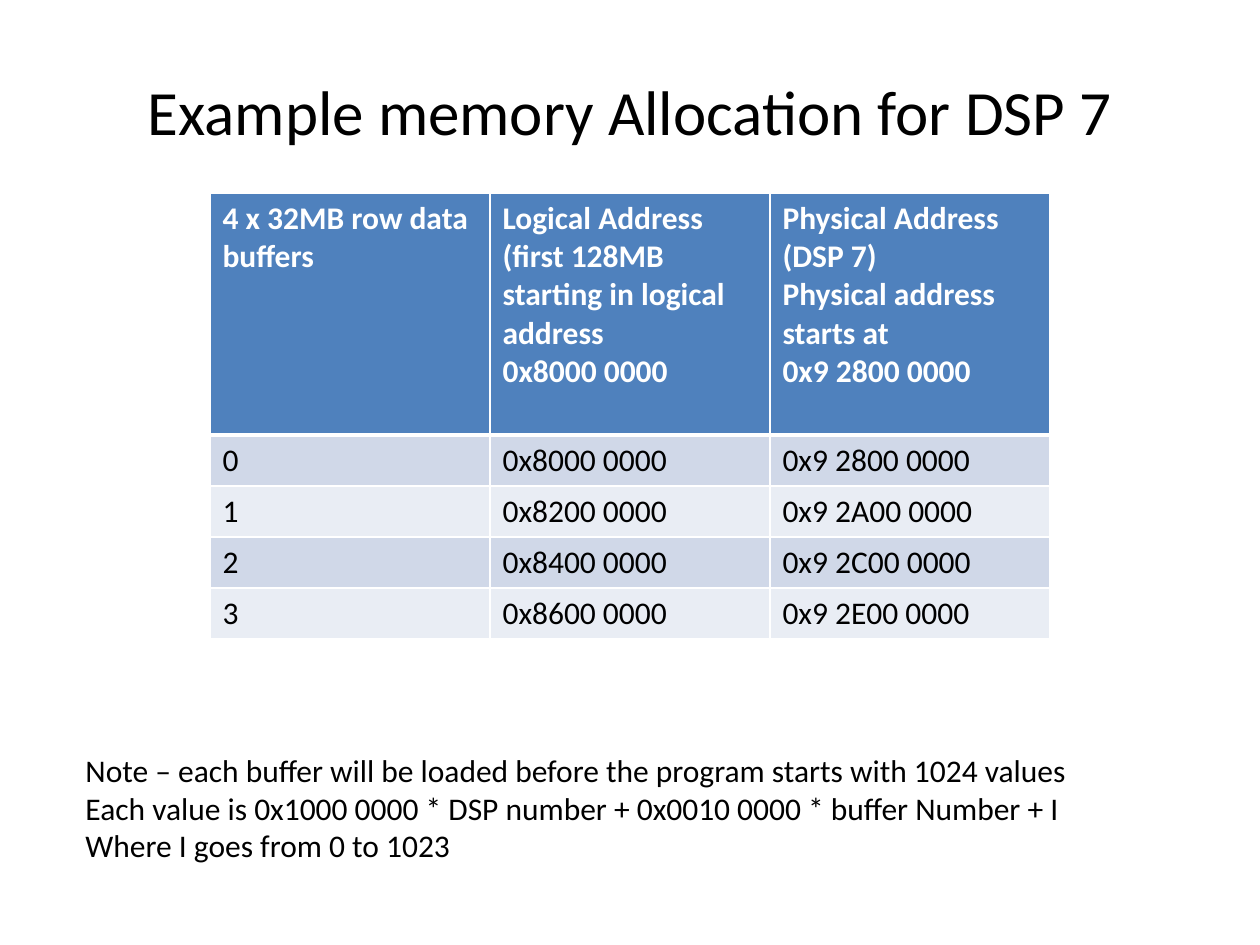
from lxml.etree import SubElement
from pptx import Presentation
from pptx.dml.color import RGBColor
from pptx.enum.text import MSO_ANCHOR, MSO_AUTO_SIZE, PP_ALIGN
from pptx.oxml.ns import qn
from pptx.util import Inches, Pt

COLORS = {"text": "000000", "light": "FFFFFF", "header": "4F81BD",
          "odd": "D0D8E8", "even": "E9EDF4"}
FONT = "Calibri"
WIDTH, HEIGHT = 10, 7.5
ROW_HEIGHT, HEADER_ROWS = 0.405, 4.75  # header height counted in body rows

HEADER = [
    "4 x 32MB row data buffers",
    "Logical Address\n(first 128MB starting in logical address\n0x8000 0000",
    "Physical Address (DSP 7)\nPhysical address starts at\n0x9 2800 0000",
]
BUFFERS = [
    ("0", "0x8000 0000", "0x9 2800 0000"),
    ("1", "0x8200 0000", "0x9 2A00 0000"),
    ("2", "0x8400 0000", "0x9 2C00 0000"),
    ("3", "0x8600 0000", "0x9 2E00 0000"),
]
NOTE = """Note – each buffer will be loaded before the program starts with 1024 values
Each value is 0x1000 0000 * DSP number + 0x0010 0000 * buffer Number + I
Where I goes from 0 to 1023"""


def share(x, y, w, h):
    """Turn shares of the slide's size into a box of lengths."""
    return (Inches(x * WIDTH), Inches(y * HEIGHT),
            Inches(w * WIDTH), Inches(h * HEIGHT))


def write(tf, text, size, color="text", bold=False, align=PP_ALIGN.LEFT):
    tf.text = text
    for p in tf.paragraphs:
        p.alignment = align
        for r in p.runs:
            r.font.name, r.font.size, r.font.bold = FONT, Pt(size), bold
            r.font.color.rgb = RGBColor.from_string(COLORS[color])


def add_title(s, box, text):
    tf = s.shapes.add_textbox(*box).text_frame
    tf.word_wrap = True
    tf.vertical_anchor = MSO_ANCHOR.MIDDLE
    write(tf, text, 36, align=PP_ALIGN.CENTER)


def set_borders(cell, **widths):
    """Draw white cell edges; widths maps L, R, T and B to points."""
    tcPr = cell._tc.get_or_add_tcPr()
    for side, width in widths.items():
        ln = SubElement(tcPr, qn(f"a:ln{side}"), w=str(Pt(width)))
        fill = SubElement(ln, qn("a:solidFill"))
        SubElement(fill, qn("a:srgbClr"), val=COLORS["light"])


def add_address_table(s, box):
    rows = [HEADER, *BUFFERS]
    table = s.shapes.add_table(len(rows), len(HEADER), *box).table
    for col in table.columns:
        col.width = box[2] // len(HEADER)
    for i, values in enumerate(rows):
        is_header = i == 0
        table.rows[i].height = Inches(ROW_HEIGHT * (HEADER_ROWS if is_header else 1))
        fill = "header" if is_header else "odd" if i % 2 else "even"
        for j, value in enumerate(values):
            cell = table.cell(i, j)
            set_borders(cell, L=1, R=1, T=3 if i == 1 else 1, B=3 if is_header else 1)
            cell.fill.solid()
            cell.fill.fore_color.rgb = RGBColor.from_string(COLORS[fill])
            write(cell.text_frame, value, 18, "light" if is_header else "text", is_header)


def add_note(s, box, text):
    tf = s.shapes.add_textbox(*box).text_frame
    tf.word_wrap = False
    tf.auto_size = MSO_AUTO_SIZE.SHAPE_TO_FIT_TEXT
    write(tf, text, 18)


def main():
    prs = Presentation()
    prs.slide_width, prs.slide_height = Inches(WIDTH), Inches(HEIGHT)
    s = prs.slides.add_slide(prs.slide_layouts[6])
    add_title(s, share(0.075, 0.044, 0.85, 0.145), "Example memory Allocation for DSP 7")
    add_address_table(s, share(1 / 6, 0.204, 2 / 3, 0.47))
    add_note(s, share(0.058, 0.788, 0.809, 0.135), NOTE)
    prs.save("out.pptx")


if __name__ == "__main__":
    main()
